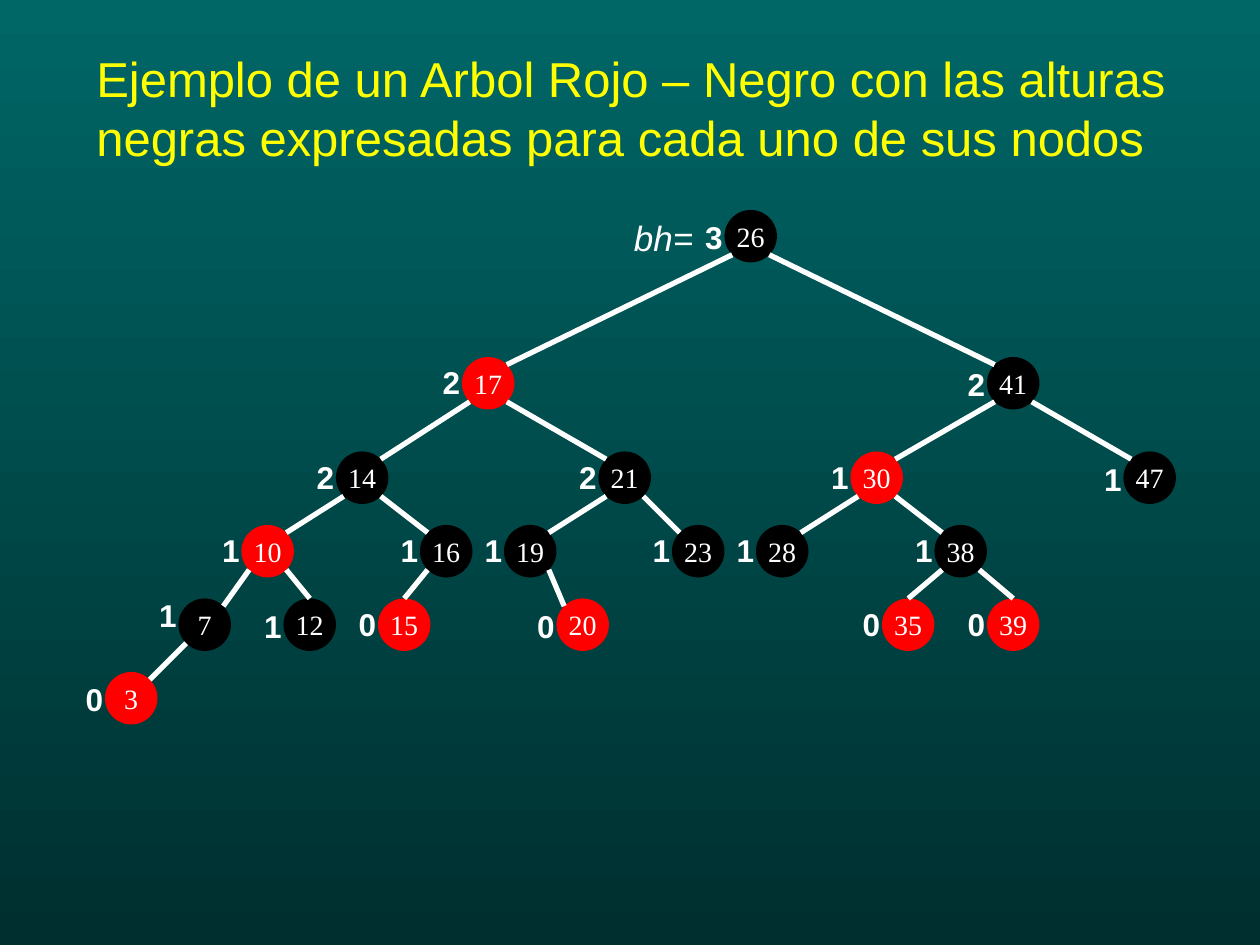
from lxml import etree
from pptx import Presentation
from pptx.dml.color import RGBColor
from pptx.enum.shapes import MSO_CONNECTOR, MSO_SHAPE
from pptx.enum.text import MSO_ANCHOR, MSO_AUTO_SIZE, PP_ALIGN
from pptx.oxml.ns import qn
from pptx.util import Inches, Pt

OVAL = MSO_SHAPE.OVAL
LINE = MSO_CONNECTOR.STRAIGHT
LEFT, CENTER = PP_ALIGN.LEFT, PP_ALIGN.CENTER
MIDDLE = MSO_ANCHOR.MIDDLE
GROW = MSO_AUTO_SIZE.SHAPE_TO_FIT_TEXT

COLORS = {
    "top": "006666", "base": "002F2F", "title": "FFFF00",
    "white": "FFFFFF", "black": "000000", "red": "FF0000",
}
SANS, SERIF = "Arial", "Times New Roman"
COLS, ROWS = 120, 90
SIZE = 5
HALF = SIZE / 2
EDGE = HALF * 0.5 ** 0.5

TREE = {
    26: (69, 20, "black", 3, None, 0.2),
    17: (44, 34, "red", 2, 26, 0),
    41: (94, 34, "black", 2, 26, 0.2),
    14: (32, 43, "black", 2, 17, 0),
    21: (57, 43, "black", 2, 17, 0),
    30: (81, 43, "red", 1, 41, 0),
    47: (107, 43, "black", 1, 41, 0.2),
    10: (23, 50, "red", 1, 14, 0),
    16: (40, 50, "black", 1, 14, 0),
    19: (48, 50, "black", 1, 21, 0),
    23: (64, 50, "black", 1, 21, 0),
    28: (72, 50, "black", 1, 30, 0),
    38: (89, 50, "black", 1, 30, 0),
    7: (17, 57, "black", 1, 10, -0.8),
    12: (27, 57, "black", 1, 10, 0.2),
    15: (36, 57, "red", 0, 16, 0),
    20: (53, 57, "red", 0, 19, 0.2),
    35: (84, 57, "red", 0, 38, 0),
    39: (94, 57, "red", 0, 38, 0),
    3: (10, 64, "red", 0, 7, 0.2),
}
TOP_ENDS = {12, 15, 35, 39}


class Board:
    def __init__(self, deck):
        self.wide = deck.slide_width
        self.high = deck.slide_height
        self.slide = deck.slides.add_slide(deck.slide_layouts[6])

    def x(self, col):
        return round(self.wide * col / COLS)

    def y(self, row):
        return round(self.high * row / ROWS)

    def color(self, name):
        return RGBColor.from_string(COLORS[name])

    def back(self, first, last):
        fill = self.slide.background.fill
        fill.gradient()
        fill.gradient_angle = 270
        for stop, name in zip(fill.gradient_stops, (first, last)):
            stop.color.rgb = self.color(name)

    def style(self, frame, text, face, size, color, align):
        part = frame.paragraphs[0]
        part.text = text
        part.alignment = align
        part.font.name = face
        part.font.size = Pt(size)
        part.font.color.rgb = self.color(color)
        return part.font

    def text(self, col, row, width, height, text, size, color="white", align=LEFT):
        box = self.slide.shapes.add_textbox(
            self.x(col), self.y(row), self.x(width), self.y(height))
        frame = box.text_frame
        frame.word_wrap = True
        frame.auto_size = GROW
        return self.style(frame, text, SANS, size, color, align)

    def node(self, col, row, key, color):
        ball = self.slide.shapes.add_shape(
            OVAL, self.x(col), self.y(row), self.x(SIZE), self.y(SIZE))
        ball.shadow.inherit = False
        ball.fill.solid()
        ball.fill.fore_color.rgb = self.color(color)
        ball.line.fill.background()
        frame = ball.text_frame
        frame.word_wrap = False
        frame.vertical_anchor = MIDDLE
        self.style(frame, str(key), SERIF, 16, "white", CENTER)

    def link(self, start, end):
        line = self.slide.shapes.add_connector(
            LINE, self.x(start[0]), self.y(start[1]), self.x(end[0]), self.y(end[1]))
        line.line.color.rgb = self.color("white")
        line.line.width = Pt(3)
        etree.SubElement(line._element.spPr, qn("a:effectLst"))

    def branch(self, key):
        col, row, _, _, parent, _ = TREE[key]
        from_col, from_row = TREE[parent][:2]
        side = EDGE if col > from_col else -EDGE
        start = from_col + HALF + side, from_row + HALF + EDGE
        if key in TOP_ENDS:
            end = col + HALF, row
        else:
            end = col + HALF - side, row + HALF - EDGE
        self.link(start, end)


def main():
    deck = Presentation()
    deck.slide_width, deck.slide_height = Inches(10), Inches(7.5)
    board = Board(deck)
    board.back("top", "base")
    board.text(8, 4, 108, 12.5,
               "Ejemplo de un Arbol Rojo – Negro con las alturas negras "
               "expresadas para cada uno de sus nodos", 28, "title")
    for key, (col, row, color, *_) in TREE.items():
        board.node(col, row, key, color)
    for key, (*_, parent, _) in TREE.items():
        if parent is not None:
            board.branch(key)
    for col, row, _, height, _, shift in TREE.values():
        board.text(col - 4, row + shift, 6, 4.8, str(height), 18, align=CENTER).bold = True
    board.text(59.2, 20, 19, 5.3, "bh=", 20).italic = True
    deck.save("out.pptx")


if __name__ == "__main__":
    main()
